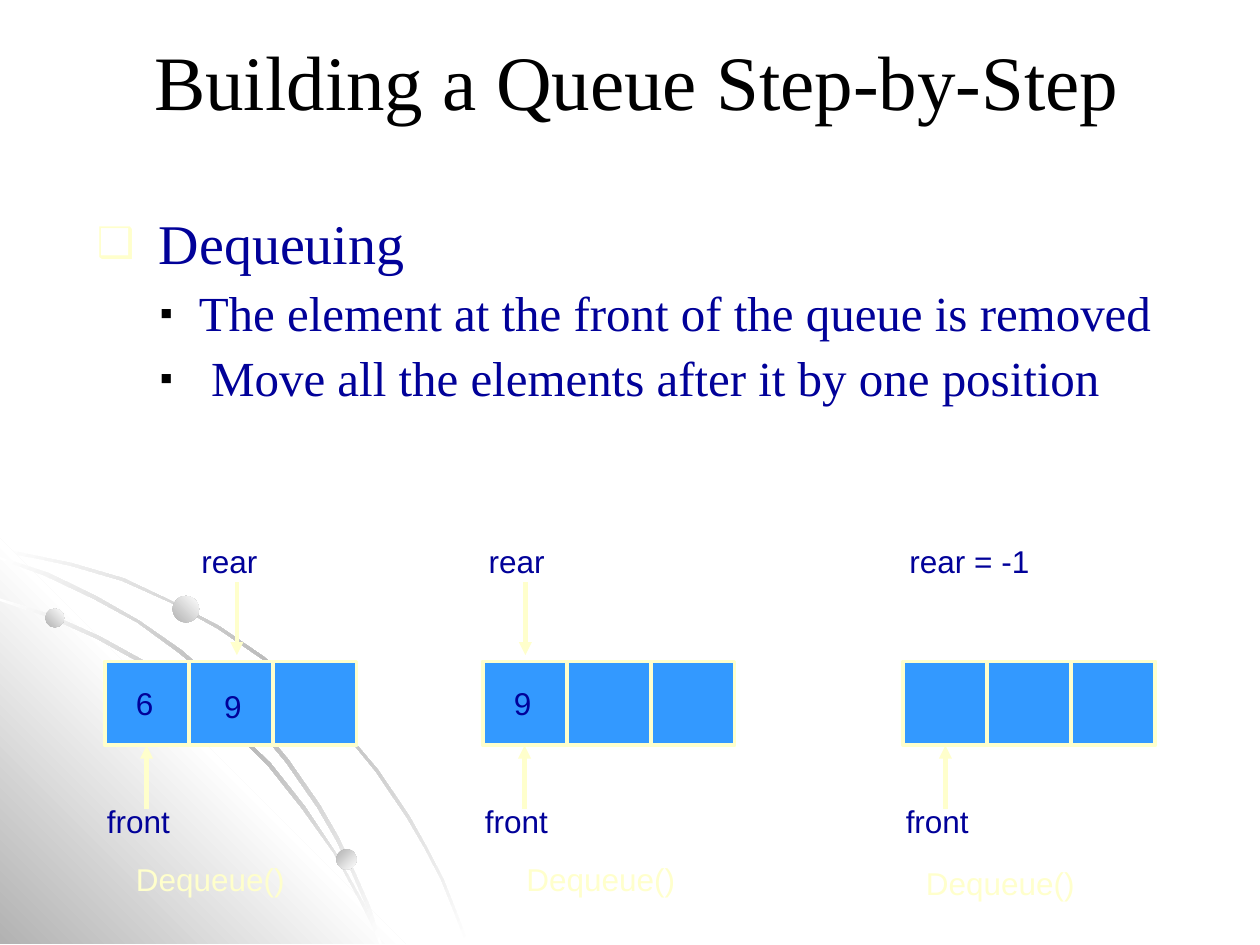
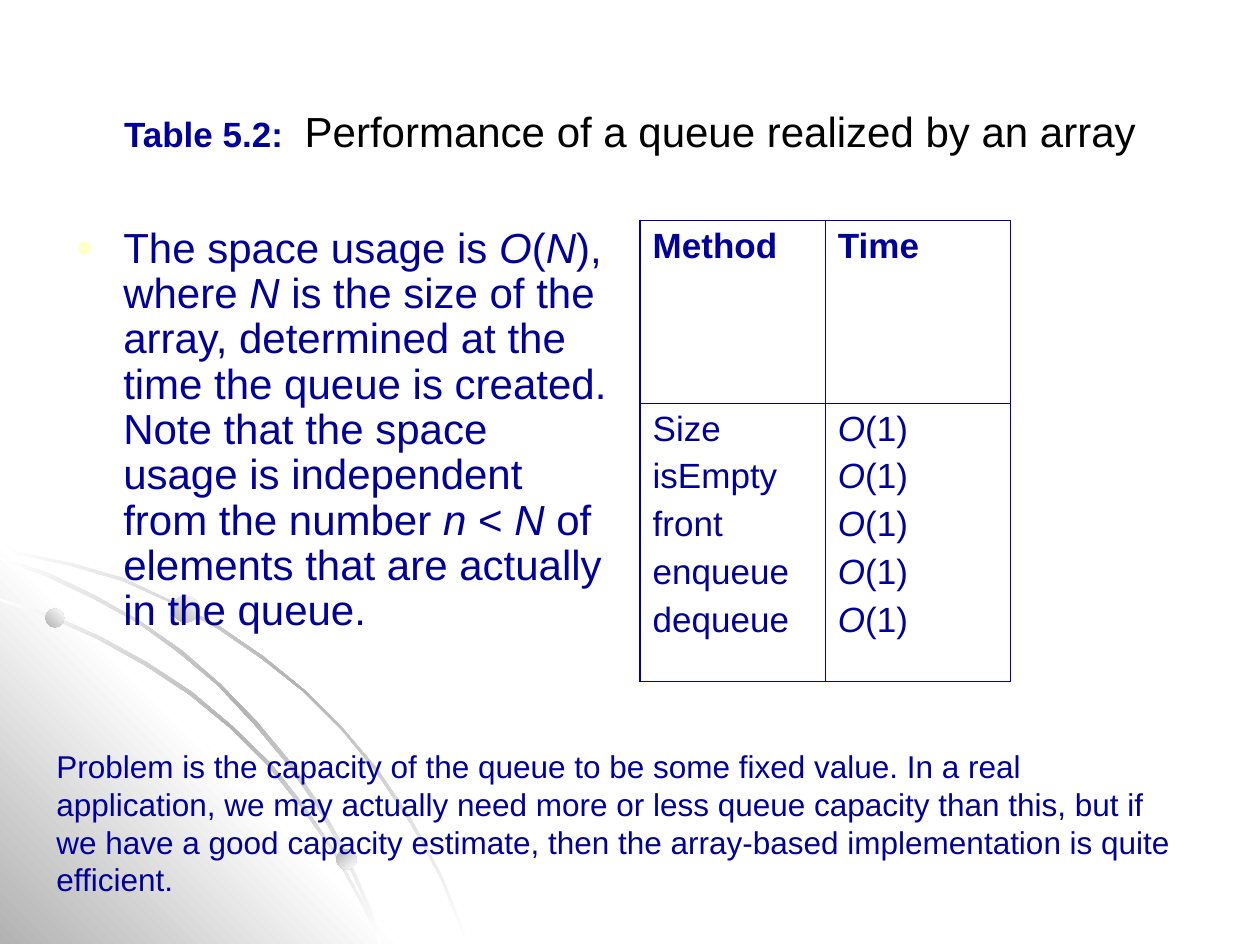
from lxml.etree import SubElement
from pptx import Presentation
from pptx.dml.color import RGBColor
from pptx.enum.shapes import MSO_CONNECTOR, MSO_SHAPE
from pptx.enum.text import MSO_ANCHOR, MSO_AUTO_SIZE, PP_ALIGN
from pptx.oxml.ns import qn
from pptx.util import Inches, Pt

NAVY = RGBColor(0x01, 0x01, 0x99)
CREAM = RGBColor(0xFF, 0xFF, 0xCC)
SKY = RGBColor(0x33, 0x99, 0xFF)
GREY = RGBColor(0xB2, 0xB2, 0xB2)
WHITE = RGBColor(0xFF, 0xFF, 0xFF)
BLACK = RGBColor(0x00, 0x00, 0x00)
SANS, SERIF = "Arial", "Times New Roman"

ARC_FADE = (WHITE, GREY, WHITE), 45
CORNER_FADE = (GREY, WHITE, GREY), 315
OUTER_ARC = [
    (0.57, 4.47), (0.28, 4.41), (0, 4.35), (0, 4.38), (0.28, 4.43), (0.56, 4.49),
    (0.97, 4.61), (1.35, 4.78), (1.73, 4.99), (2.08, 5.23), (2.41, 5.49), (2.71, 5.79),
    (2.98, 6.12), (3.23, 6.49), (3.37, 6.73), (3.5, 6.98), (3.6, 7.23), (3.7, 7.49),
    (3.72, 7.49), (3.62, 7.23), (3.52, 6.98), (3.39, 6.73), (3.25, 6.48), (3, 6.11),
    (2.72, 5.78), (2.42, 5.48), (2.09, 5.21), (1.74, 4.97), (1.36, 4.77), (0.98, 4.59),
]
CORNER = [(3.22, 7.49), (0, 7.49), (0, 4.27)]
INNER_ARC = [
    (2.85, 7.14), (2.94, 7.32), (3.01, 7.49), (3.03, 7.49), (2.96, 7.3), (2.86, 7.12),
    (2.66, 6.76), (2.42, 6.4), (2.15, 6.06), (1.84, 5.76), (1.52, 5.49), (1.17, 5.26),
    (0.79, 5.05), (0.41, 4.88), (0, 4.75), (0, 4.77), (0.39, 4.9), (0.77, 5.07),
    (1.15, 5.28), (1.5, 5.51), (1.83, 5.78), (2.13, 6.08), (2.4, 6.42), (2.65, 6.77),
]
MIDDLE_ARC = [
    (0, 4.42), (0, 4.44), (0.36, 4.57), (0.74, 4.75), (1.09, 4.94), (1.42, 5.18),
    (1.73, 5.44), (2.02, 5.75), (2.27, 6.05), (2.52, 6.41), (2.67, 6.67), (2.8, 6.94),
    (2.92, 7.22), (3.01, 7.49), (3.03, 7.49), (2.94, 7.2), (2.82, 6.93), (2.69, 6.65),
    (2.54, 6.39), (2.29, 6.03), (2.04, 5.73), (1.75, 5.43), (1.44, 5.16), (1.11, 4.93),
    (0.76, 4.73), (0.39, 4.55),
]
OUTLINES = [(OUTER_ARC, ARC_FADE), (CORNER, CORNER_FADE),
            (INNER_ARC, ARC_FADE), (MIDDLE_ARC, ARC_FADE)]
BALLS = [(0.36, 4.83, 0.15, 315), (2.67, 6.74, 0.16, 45), (1.37, 4.73, 0.21, 315)]

LABEL = {"size": Pt(18), "name": SANS, "color": NAVY}
CALL = {**LABEL, "color": CREAM}
STEP_TITLE = {"size": Pt(44), "name": SERIF, "color": BLACK}
POINT = {"size": Pt(32), "name": SERIF, "color": NAVY}
SUBPOINT = {**POINT, "size": Pt(28)}
NOTE = {"size": Pt(24), "name": SANS, "color": NAVY}
CELL = {**NOTE, "size": Pt(20)}
HEAD = {**CELL, "bold": True}

TOP_BULLET = {"char": "❑", "color": CREAM, "left": 0.38, "hang": 0.38, "before": 8}
SUB_BULLET = {"char": "▪", "color": BLACK, "left": 0.81, "hang": 0.31, "before": 7}
DOT_BULLET = {"char": "●", "color": CREAM, "left": 0.38, "hang": 0.38, "before": 6}

DEQUEUING = [
    (" Dequeuing", POINT, TOP_BULLET),
    ("The element at the front of the queue is removed", SUBPOINT, SUB_BULLET),
    (" Move all the elements after it by one position", SUBPOINT, SUB_BULLET),
]
QUEUES = [
    {"left": 0.83, "values": [("6", 0.98, 5.38), ("9", 1.68, 5.4)],
     "rear": ("rear", 1.5, 1.08), "rear_arrow": 1.88, "call": (0.98, 6.78)},
    {"left": 3.83, "values": [("9", 3.98, 5.38)],
     "rear": ("rear", 3.78, 1.08), "rear_arrow": 4.17, "call": (4.08, 6.78)},
    {"left": 7.17, "values": [],
     "rear": ("rear = -1", 7.12, 1.3), "rear_arrow": None, "call": (7.25, 6.81)},
]
CELL_COUNT, CELL_SIZE, CELL_TOP = 3, 2 / 3, 5.25

TABLE_TITLE = [
    ("Table 5.2:", {**HEAD}),
    (" ", {"size": Pt(44), "name": SANS, "color": BLACK, "bold": True}),
    ("Performance of a queue realized by an array", {**NOTE, "color": BLACK}),
]
SPACE_USAGE = (
    "The space usage is *O*(*N*), where *N* is the size of the array, determined at the "
    "time the queue is created. Note that the space usage is independent from the number "
    "*n* < *N* of elements that are actually in the queue."
)
METHODS = ["Size", "isEmpty", "front", "enqueue", "dequeue"]
TIMES = [(["Method"], ["Time"]), (METHODS, ["*O*(1)"] * len(METHODS))]
COL_WIDTH, ROW_HEIGHTS = 1.47, (1.45, 2.21)
PROBLEM = (
    "Problem is the capacity of the queue to be some fixed value. In a real application, "
    "we may actually need more or less queue capacity than this, but if we have a good "
    "capacity estimate, then the array-based implementation is quite efficient."
)


def add_run(p, text, fmt):
    r = p.add_run()
    r.text = text
    for key, value in fmt.items():
        if key == "color":
            r.font.color.rgb = value
        else:
            setattr(r.font, key, value)


def write(p, text, fmt):
    for i, part in enumerate(text.split("*")):
        if part:
            add_run(p, part, {**fmt, "italic": i % 2 == 1})


def add_color(parent, color):
    SubElement(parent, qn("a:srgbClr"), val=str(color))


def set_bullet(p, bullet):
    p.line_spacing = 0.9
    p.space_before = Pt(bullet["before"])
    pPr = p._p.get_or_add_pPr()
    pPr.set("marL", str(Inches(bullet["left"])))
    pPr.set("indent", str(-Inches(bullet["hang"])))
    add_color(SubElement(pPr, qn("a:buClr")), bullet["color"])
    SubElement(pPr, qn("a:buSzPct"), val="75000")
    SubElement(pPr, qn("a:buFont"), typeface=SANS)
    SubElement(pPr, qn("a:buChar"), char=bullet["char"])


def add_text(s, left, top, width, height):
    sp = s.shapes.add_textbox(*map(Inches, (left, top, width, height)))
    sp.text_frame.word_wrap = True
    return sp.text_frame


def add_label(s, text, left, top, width, height=0.4, fmt=LABEL):
    tf = add_text(s, left, top, width, height)
    tf.auto_size = MSO_AUTO_SIZE.SHAPE_TO_FIT_TEXT
    tf.paragraphs[0].space_before = Pt(11.2)
    write(tf.paragraphs[0], text, fmt)


def add_title(s, box, runs):
    tf = add_text(s, *box)
    tf.vertical_anchor = MSO_ANCHOR.MIDDLE
    p = tf.paragraphs[0]
    p.alignment = PP_ALIGN.CENTER
    for text, fmt in runs:
        add_run(p, text, fmt)


def add_body(s, box, points):
    tf = add_text(s, *box)
    for i, (text, fmt, bullet) in enumerate(points):
        p = tf.add_paragraph() if i else tf.paragraphs[0]
        set_bullet(p, bullet)
        write(p, text, fmt)


def fade(sp, colors, angle):
    sp.shadow.inherit = False
    sp.line.fill.background()
    sp.fill.gradient()
    grad = sp._element.spPr.find(qn("a:gradFill"))
    stops = grad.find(qn("a:gsLst"))
    for stop in list(stops):
        stops.remove(stop)
    for i, color in enumerate(colors):
        pos = 100000 * i // (len(colors) - 1)
        add_color(SubElement(stops, qn("a:gs"), pos=str(pos)), color)
    lin = grad.find(qn("a:lin"))
    lin.set("ang", str(angle * 60000))
    lin.set("scaled", "0")


def add_backdrop(s):
    for points, (colors, angle) in OUTLINES:
        start, *rest = [(Inches(x), Inches(y)) for x, y in points]
        outline = s.shapes.build_freeform(*start)
        outline.add_line_segments(rest, close=True)
        fade(outline.convert_to_shape(), colors, angle)
    for left, top, size, angle in BALLS:
        ball = s.shapes.add_shape(MSO_SHAPE.OVAL, *map(Inches, (left, top, size, size)))
        fade(ball, (GREY, WHITE), angle)


def add_arrow(s, x, start, end):
    arrow = s.shapes.add_connector(MSO_CONNECTOR.STRAIGHT, *map(Inches, (x, start, x, end)))
    arrow.line.color.rgb = CREAM
    arrow.line.width = Pt(2.5)
    SubElement(arrow.line._get_or_add_ln(), qn("a:tailEnd"), type="triangle")
    SubElement(arrow._element.spPr, qn("a:effectLst"))


def add_queue(s, queue):
    left = queue["left"]
    add_label(s, "Dequeue()", *queue["call"], 1.93, fmt=CALL)
    for i in range(CELL_COUNT):
        box = (left + i * CELL_SIZE, CELL_TOP, CELL_SIZE, CELL_SIZE)
        sp = s.shapes.add_shape(MSO_SHAPE.RECTANGLE, *map(Inches, box))
        sp.shadow.inherit = False
        sp.fill.solid()
        sp.fill.fore_color.rgb = SKY
        sp.line.color.rgb = CREAM
        sp.line.width = Pt(2.25)
    add_label(s, "front", left - 0.08, 6.32, 1.08)
    add_arrow(s, left + CELL_SIZE / 2, 6.42, CELL_TOP + CELL_SIZE)
    text, rear_left, width = queue["rear"]
    add_label(s, text, rear_left, 4.25, width)
    if queue["rear_arrow"]:
        add_arrow(s, queue["rear_arrow"], 4.62, 5.2)
    for value, x, y in queue["values"]:
        add_label(s, value, x, y, 0.33)


def set_borders(cell, widths):
    tcPr = cell._tc.get_or_add_tcPr()
    for i, (side, width) in enumerate(widths.items()):
        ln = SubElement(tcPr, qn(f"a:ln{side}"), w=str(Pt(width)))
        add_color(SubElement(ln, qn("a:solidFill")), NAVY)
        tcPr.insert(i, ln)


def add_times_table(s):
    rows, cols = len(TIMES), len(TIMES[0])
    box = (5.08, 1.75, COL_WIDTH * cols, sum(ROW_HEIGHTS))
    table = s.shapes.add_table(rows, cols, *map(Inches, box)).table
    table.first_row = table.horz_banding = False
    for col in table.columns:
        col.width = Inches(COL_WIDTH)
    for i, row in enumerate(TIMES):
        table.rows[i].height = Inches(ROW_HEIGHTS[i])
        for j, lines in enumerate(row):
            cell = table.cell(i, j)
            cell.fill.background()
            edges = {"L": j == 0, "R": j == cols - 1, "T": i == 0, "B": i == rows - 1}
            set_borders(cell, {side: 1.08 if outer else 0.45 for side, outer in edges.items()})
            tf = cell.text_frame
            for k, line in enumerate(lines):
                p = tf.add_paragraph() if k else tf.paragraphs[0]
                p.space_before = Pt(5)
                write(p, line, CELL if i else HEAD)


def new_slide(prs):
    s = prs.slides.add_slide(prs.slide_layouts[6])
    add_backdrop(s)
    return s


def main():
    prs = Presentation()
    prs.slide_width, prs.slide_height = Inches(10), Inches(7.5)

    s = new_slide(prs)
    add_body(s, (0.67, 1.67, 8.58, 2.5), DEQUEUING)
    for queue in QUEUES:
        add_queue(s, queue)
    add_title(s, (0.5, 0.16, 9.11, 0.95), [("Building a Queue Step-by-Step", STEP_TITLE)])

    s = new_slide(prs)
    add_title(s, (0.5, 0.3, 9, 1.25), TABLE_TITLE)
    add_body(s, (0.5, 1.75, 4.42, 4.28), [(SPACE_USAGE, NOTE, DOT_BULLET)])
    add_times_table(s)
    add_label(s, PROBLEM, 0.35, 5.88, 9.06, 1.3)

    prs.save("out.pptx")


if __name__ == "__main__":
    main()
